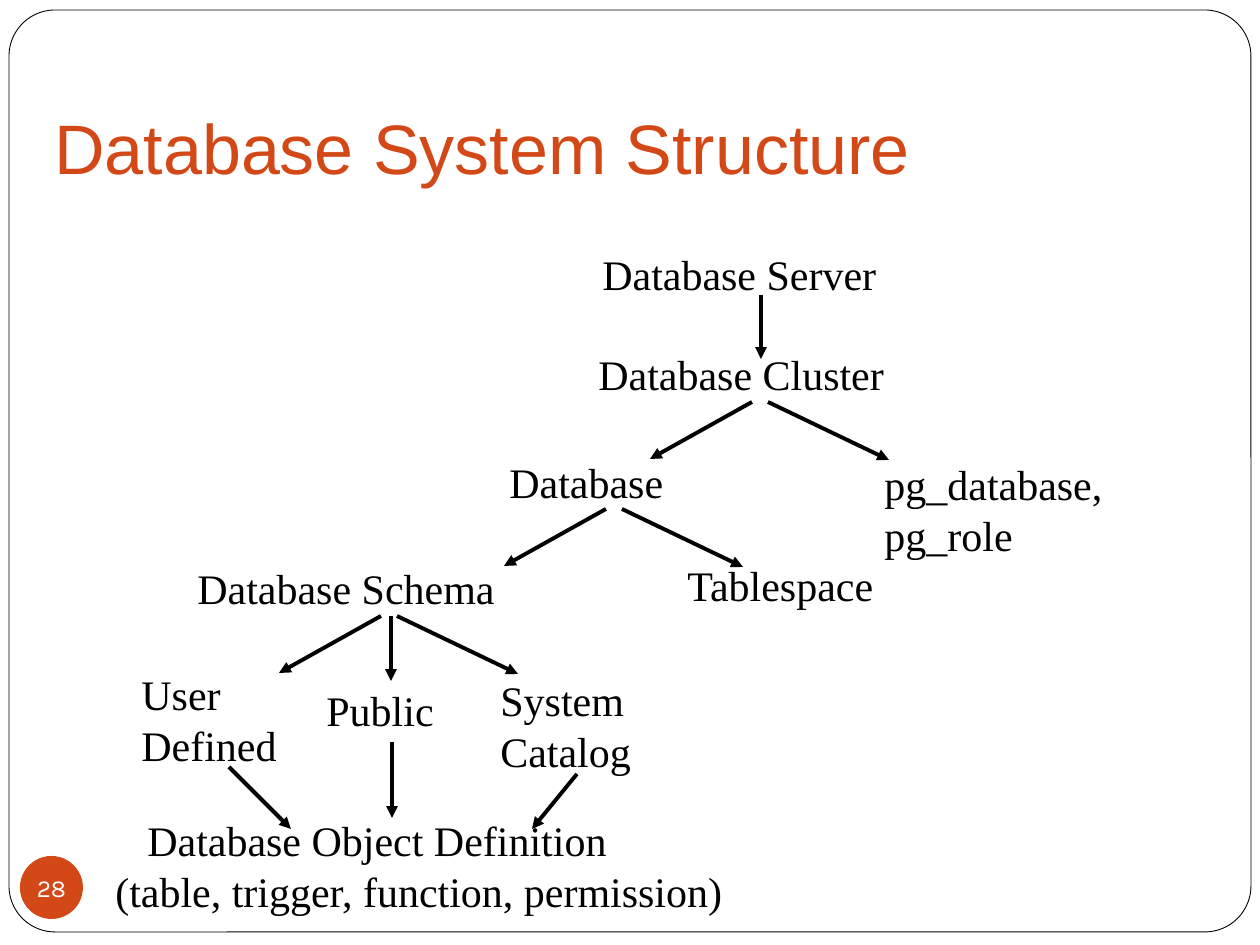
from lxml import etree
from pptx import Presentation
from pptx.dml.color import RGBColor
from pptx.enum.shapes import MSO_CONNECTOR, MSO_SHAPE
from pptx.enum.text import MSO_ANCHOR, PP_ALIGN
from pptx.oxml.ns import qn
from pptx.util import Emu, Pt

STRAIGHT = MSO_CONNECTOR.STRAIGHT
ROUNDED, OVAL = MSO_SHAPE.ROUNDED_RECTANGLE, MSO_SHAPE.OVAL
TOP, MIDDLE, BOTTOM = MSO_ANCHOR.TOP, MSO_ANCHOR.MIDDLE, MSO_ANCHOR.BOTTOM
LEFT, CENTER = PP_ALIGN.LEFT, PP_ALIGN.CENTER

PX = 914400 // 126
BLACK, WHITE, ORANGE = "000000", "FFFFFF", "D34817"

TITLE = "Database System Structure"
PAGE_NUMBER = "28"
ONE_LINE, TWO_LINES = 63, 113
NODES = [
    (590, 242, 355, ["Database Server"]),
    (586, 342, 369, ["Database Cluster"]),
    (497, 450, 213, ["Database"]),
    (872, 452, 294, ["pg_database,", "pg_role"]),
    (185, 556, 386, ["Database Schema"]),
    (675, 553, 214, ["Tablespace"]),
    (129, 662, 179, ["User", "Defined"]),
    (314, 678, 151, ["Public"]),
    (488, 668, 186, ["System", "Catalog"]),
    (103, 808, 743, ["Database Object Definition", "(table, trigger, function, permission)"]),
]
OBJECT_INDENT = 32

FORKS = [(752, 402), (606, 509), (381, 616)]
FORK_BRANCHES = [((0, 0), (-102, 57)), ((16, 0), (137, 58))]
SINGLE_ARROWS = [
    ((761, 295), (761, 359)),
    ((391, 616), (391, 681)),
    ((229, 767), (291, 829)),
    ((392, 742), (392, 818)),
    ((577, 774), (532, 829)),
]


def px(value):
    return Emu(value * PX)


def color(value):
    return RGBColor.from_string(value)


def add_shape(page, kind, bounds, fill, line=None):
    shape = page.shapes.add_shape(kind, *map(px, bounds))
    shape.shadow.inherit = False
    shape.fill.solid()
    shape.fill.fore_color.rgb = color(fill)
    if line:
        shape.line.color.rgb = color(line)
        shape.line.width = Pt(0.5)
    else:
        shape.line.fill.background()
    return shape


def write(box, lines, font, size, ink, anchor=TOP, align=LEFT, spacing=None):
    frame = box.text_frame
    frame.word_wrap = True
    frame.vertical_anchor = anchor
    for index, line in enumerate(lines):
        paragraph = frame.paragraphs[0] if index == 0 else frame.add_paragraph()
        paragraph.text = line
        paragraph.alignment = align
        if spacing:
            paragraph.line_spacing = Pt(spacing)
        paragraph.font.name = font
        paragraph.font.size = Pt(size)
        paragraph.font.color.rgb = color(ink)
    return frame


def add_arrow(page, start, end):
    arrow = page.shapes.add_connector(STRAIGHT, *map(px, start + end))
    arrow.line.color.rgb = color(BLACK)
    arrow.line.width = Pt(2.25)
    etree.SubElement(arrow.line._get_or_add_ln(), qn("a:tailEnd"), type="triangle")
    etree.SubElement(arrow._element.spPr, qn("a:effectLst"))


def main():
    deck = Presentation()
    deck.slide_width, deck.slide_height = px(1260), px(945)
    page = deck.slides.add_slide(deck.slide_layouts[6])

    border = add_shape(page, ROUNDED, (9, 10, 1242, 922), WHITE, BLACK)
    border.adjustments[0] = 0.05

    badge = add_shape(page, OVAL, (20, 856, 63, 63), ORANGE)
    frame = write(badge, [PAGE_NUMBER], "Karla", 14, WHITE, MIDDLE, CENTER)
    frame.margin_left = frame.margin_right = frame.margin_top = frame.margin_bottom = 0
    frame.word_wrap = False

    title = page.shapes.add_textbox(*map(px, (42, 38, 1155, 157)))
    write(title, [TITLE], "Arial", 40, ORANGE, BOTTOM)

    for left, top, width, lines in NODES:
        height = ONE_LINE if len(lines) == 1 else TWO_LINES
        box = page.shapes.add_textbox(*map(px, (left, top, width, height)))
        frame = write(box, lines, "Times New Roman", 24, BLACK, spacing=29)
    frame.paragraphs[0]._p.get_or_add_pPr().set("marL", str(px(OBJECT_INDENT)))

    for x, y in FORKS:
        for (start_x, start_y), (end_x, end_y) in FORK_BRANCHES:
            add_arrow(page, (x + start_x, y + start_y), (x + end_x, y + end_y))
    for start, end in SINGLE_ARROWS:
        add_arrow(page, start, end)

    deck.save("out.pptx")


if __name__ == "__main__":
    main()
